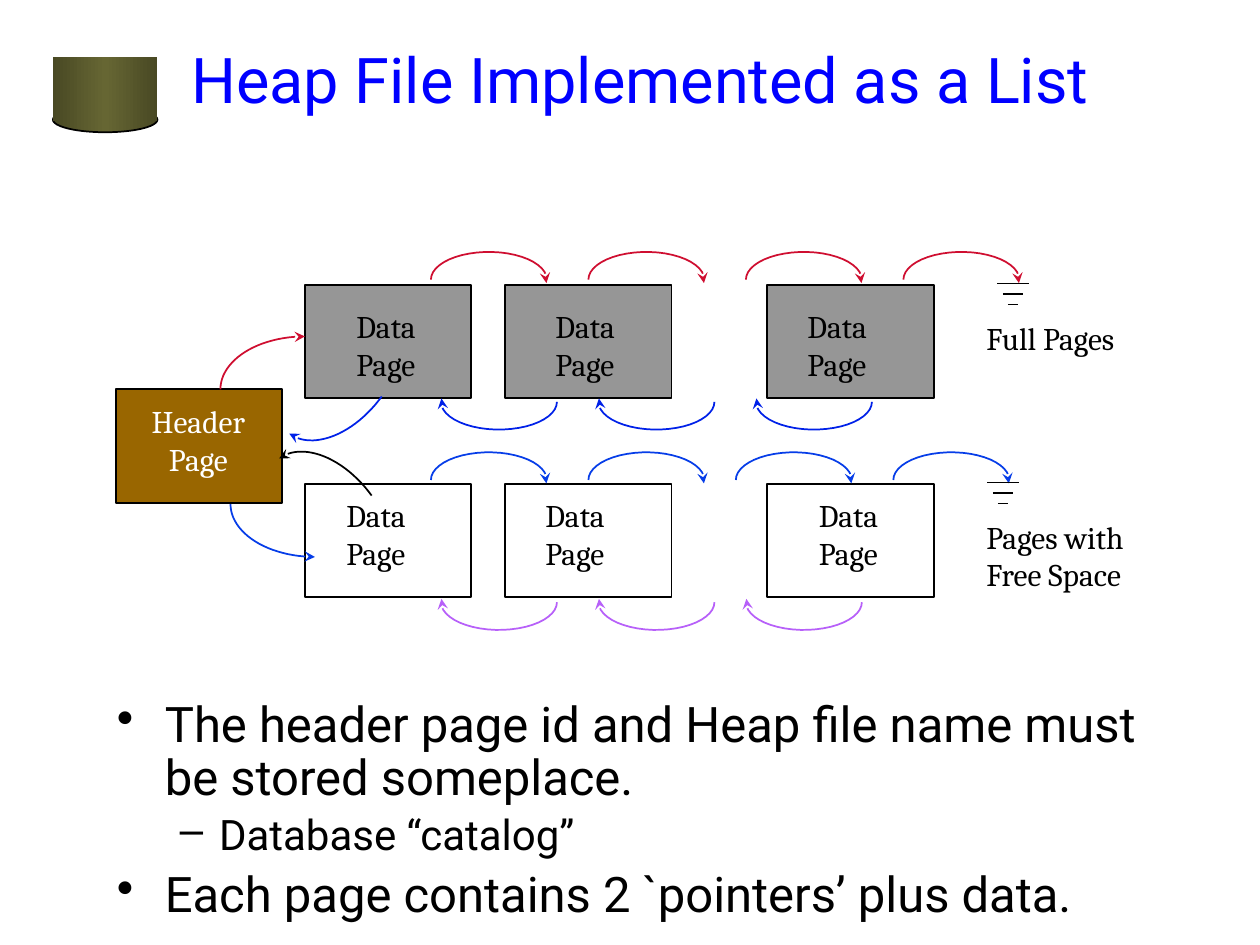
"""Build a slide on a heap file kept as two linked lists of pages."""
import copy
import math
from dataclasses import dataclass

from lxml import etree
from pptx import Presentation
from pptx import util as u
from pptx.dml.color import RGBColor
from pptx.enum import shapes, text
from pptx.oxml.ns import qn


@dataclass(frozen=True)
class Theme:
    heading_font: str = "Roboto"
    label_font: str = "Cambria"
    title_size: int = 36
    body_sizes: tuple = (28, 24)
    label_size: int = 18
    black: str = "000000"
    white: str = "FFFFFF"
    title: str = "0000FF"
    full: str = "969696"
    header: str = "996600"
    red: str = "CF0E30"
    navy: str = "0021E8"
    blue: str = "063DE8"
    violet: str = "B760F9"
    drum: tuple = ("494924", "666633", "494924")


theme = Theme()
rgb = RGBColor.from_string
deck = Presentation()
deck.slide_width, deck.slide_height = u.Inches(10), u.Inches(7.5)
slide = deck.slides.add_slide(deck.slide_layouts[6])


def write(words, place, size, colour=theme.black, font=theme.label_font, wrap=False):
    box = slide.shapes.add_textbox(*map(u.Inches, place))
    frame = box.text_frame
    frame.text = words
    frame.word_wrap = wrap
    for paragraph in frame.paragraphs:
        for run in paragraph.runs:
            run.font.name, run.font.size = font, u.Pt(size)
            run.font.color.rgb = rgb(colour)
    return frame


def pointer(centre, radii, start, end, colour, turn=0):
    spin = math.radians(turn)
    trail = []
    for step in range(25):
        angle = math.radians(start + (end - start) * step / 24)
        across, down = radii[0] * math.cos(angle), radii[1] * math.sin(angle)
        trail.append((
            u.Inches(centre[0] + across * math.cos(spin) - down * math.sin(spin)),
            u.Inches(centre[1] + across * math.sin(spin) + down * math.cos(spin)),
        ))
    outline = slide.shapes.build_freeform(*trail[0])
    outline.add_line_segments(trail[1:], close=False)
    curve = outline.convert_to_shape()
    curve.shadow.inherit = False
    curve.fill.background()
    curve.line.color.rgb, curve.line.width = rgb(colour), u.Pt(1)
    ends = curve._element.spPr.find(qn("a:ln"))
    etree.SubElement(ends, qn("a:tailEnd"), type="stealth")


drum = slide.shapes.add_group_shape()
for kind, top, height in (("OVAL", 0.85, 0.2), ("RECTANGLE", 0.45, 0.51)):
    part = drum.shapes.add_shape(
        shapes.MSO_SHAPE[kind], *map(u.Inches, (0.42, top, 0.83, height)))
    part.shadow.inherit = False
    part.fill.gradient()
    part.fill.gradient_angle = 0
    stops = part._element.spPr.find(qn("a:gradFill")).find(qn("a:gsLst"))
    stops.insert(1, copy.deepcopy(stops[0]))
    for index, stop in enumerate(part.fill.gradient_stops):
        stop.position = index / 2
        stop.color.rgb = rgb(theme.drum[index])
    if kind == "OVAL":
        part.line.color.rgb, part.line.width = rgb(theme.black), u.Pt(1)
    else:
        part.line.fill.background()

title = write("Heap File Implemented as a List", (1.42, 0, 7.83, 1.25),
              theme.title_size, theme.title, theme.heading_font, True)
title.vertical_anchor = text.MSO_ANCHOR.MIDDLE

points = (
    (0, "The header page id and Heap file name must be stored someplace."),
    (1, "Database “catalog”"),
    (0, "Each page contains 2 `pointers’ plus data."),
)
body = write("\n".join(words for level, words in points), (0.83, 5.51, 8.42, 1.55),
             theme.body_sizes[0], font=theme.heading_font, wrap=True)
for paragraph, (level, words) in zip(body.paragraphs, points):
    size = theme.body_sizes[level]
    paragraph.level = level
    paragraph.line_spacing = 0.9
    paragraph.space_before = u.Pt(size * 0.2)
    paragraph.runs[0].font.size = u.Pt(size)
    margin, hang = ((0.38, 0.38), (0.81, 0.31))[level]
    props = paragraph._p.get_or_add_pPr()
    props.set("marL", str(u.Inches(margin)))
    props.set("indent", str(-u.Inches(hang)))
    etree.SubElement(props, qn("a:buChar"), char="•–"[level])

columns = (2.42, 4.01, 6.09)
full_row, free_row = 2.26, 3.84
pages = [(left, top, fill)
         for top, fill in ((full_row, theme.full), (free_row, None))
         for left in columns]
for left, top, fill in pages + [(0.92, 3.09, theme.header)]:
    page = slide.shapes.add_shape(
        shapes.MSO_SHAPE.RECTANGLE, *map(u.Inches, (left, top, 1.32, 0.9)))
    page.shadow.inherit = False
    page.line.color.rgb, page.line.width = rgb(theme.black), u.Pt(1)
    if fill:
        page.fill.solid()
        page.fill.fore_color.rgb = rgb(fill)
    else:
        page.fill.background()

header = write("Header\nPage", (1.06, 3.14, 1.03, 0.7), theme.label_size, theme.white)
for paragraph in header.paragraphs:
    paragraph.alignment = text.PP_ALIGN.CENTER
for top, lefts in ((2.39, (2.73, 4.31, 6.31)), (3.89, (2.65, 4.23, 6.4))):
    for left in lefts:
        write("Data\nPage", (left, top, 0.74, 0.7), theme.label_size)
write("Full Pages", (7.73, 2.48, 1.34, 0.4), theme.label_size)
write("Pages with\nFree Space", (7.73, 4.06, 1.41, 0.7), theme.label_size)

hop = (0.46, 0.22)
chains = (
    (2.22, 180, 367, theme.red, (3.42, 4.67, 5.92, 7.17)),
    (3.19, 0, 187, theme.navy, (3.5, 4.75, 6)),
    (3.81, 180, 367, theme.blue, (3.42, 4.67, 5.84, 7.09)),
    (4.78, 0, 187, theme.violet, (3.5, 4.75, 5.92)),
)
for level, start, end, colour, lefts in chains:
    for left in lefts:
        pointer((left + hop[0], level), hop, start, end, colour)

bend = (0.67, 0.42)
pointer((2.42, 3.09), bend, 180, 270, theme.red)
pointer((2.69, 2.9), bend, 270, 360, theme.navy, turn=126)
pointer((2.61, 4.18), bend, 270, 180, theme.black, turn=54)
pointer((2.5, 4), bend, 180, 90, theme.blue)

for middle, top in ((8.04, 2.25), (7.96, 3.83)):
    ground = slide.shapes.add_group_shape()
    for row, half in enumerate((0.125, 0.08, 0.04)):
        height = top + row / 12
        bar = ground.shapes.add_connector(
            shapes.MSO_CONNECTOR.STRAIGHT,
            *map(u.Inches, (middle - half, height, middle + half, height)))
        bar.line.color.rgb, bar.line.width = rgb(theme.black), u.Pt(1)
        etree.SubElement(bar._element.spPr, qn("a:effectLst"))

deck.save("out.pptx")
